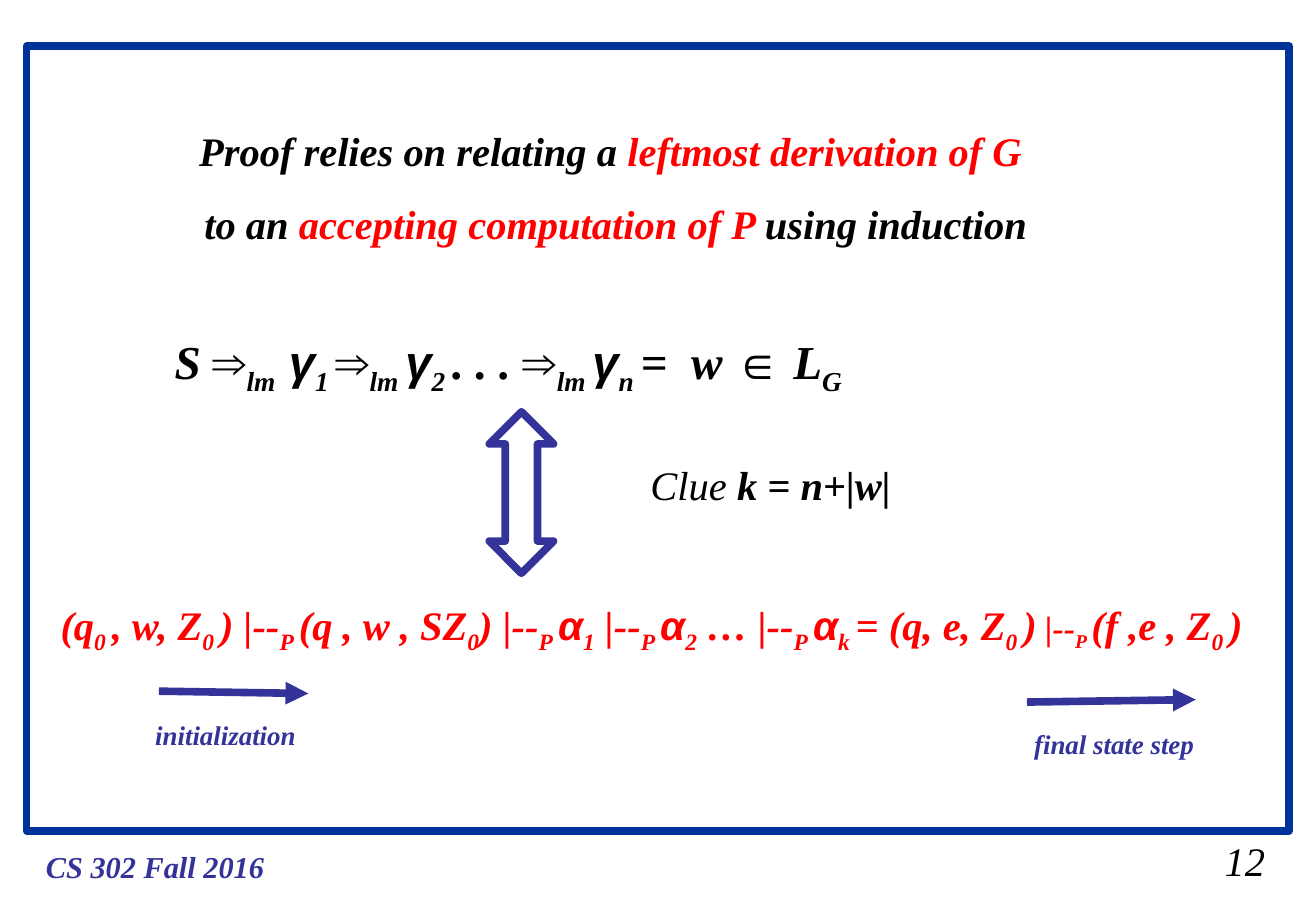
"""Build a slide relating a leftmost derivation to an accepting computation."""
import pptx
import pptx.dml.color
import pptx.enum.shapes
import pptx.enum.text
import pptx.oxml.ns
import pptx.util
from lxml import etree

WIDTH = pptx.util.Inches(10.84)
HEIGHT = pptx.util.Inches(7.5)
FRAME_BLUE = pptx.dml.color.RGBColor(0x00, 0x33, 0x99)
INDIGO = pptx.dml.color.RGBColor(0x33, 0x33, 0x99)
RED = pptx.dml.color.RGBColor(0xFF, 0x00, 0x00)
BLACK = pptx.dml.color.RGBColor(0x00, 0x00, 0x00)
LINE_WIDTH = pptx.util.Pt(4.5)

PLAIN = {}
IN_RED = {"color": RED}
SYMBOL = {"font": "Arial"}
SUB = {"baseline": -25000}
SMALL = {"size": 20}
SMALL_SUB = SMALL | SUB
LIGHT = {"bold": False}

ARROW = [("⇒", SYMBOL)]
SUB_GAP = [(" ", SUB | {"spacing": 400})]
GAP = [(" ", {"spacing": 700})]
STEP_SUB = [("P ", SUB)]

DERIVATION = [
    ("S ", PLAIN), *ARROW, ("lm", SUB), *SUB_GAP, ("γ", SYMBOL), ("1 ", SUB),
    *ARROW, ("lm ", SUB), ("γ", SYMBOL), ("2 ", SUB), (". . . ", PLAIN),
    *ARROW, ("lm ", SUB), ("γ", SYMBOL), ("n ", SUB), ("=", PLAIN), *GAP,
    ("w ", PLAIN), ("∈", SYMBOL), (" L", PLAIN), ("G", SUB),
]
COMPUTATION = [
    ("(q", PLAIN), ("0 ", SUB), (", w, Z", PLAIN), ("0 ", SUB),
    (") |--", PLAIN), *STEP_SUB, ("(q , w , SZ", PLAIN), ("0", SUB),
    (") |--", PLAIN), *STEP_SUB, ("α", SYMBOL), ("1", SUB),
    (" |--", PLAIN), *STEP_SUB, ("α", SYMBOL), ("2", SUB),
    (" … |--", PLAIN), *STEP_SUB, ("α", SYMBOL), ("k ", SUB),
    ("= (q, e, Z", PLAIN), ("0 ", SUB), (")", PLAIN), (" |--", SMALL),
    ("P ", SMALL_SUB), ("(f ,e , Z", PLAIN), ("0 ", SUB), (")", PLAIN),
]


def across(percent):
    """Return a share of the slide width."""
    return round(WIDTH * percent / 100)


def down(percent):
    """Return a share of the slide height."""
    return round(HEIGHT * percent / 100)


def place(left, top, width, height):
    """Turn four shares of the slide into lengths."""
    return across(left), down(top), across(width), down(height)


def add_run(paragraph, text, size, color, style):
    """Add one run in bold italics, changed by its style."""
    run = paragraph.add_run()
    run.text = text
    run.font.name = style.get("font", "Times New Roman")
    run.font.size = pptx.util.Pt(style.get("size", size))
    run.font.bold = style.get("bold", True)
    run.font.italic = True
    run.font.color.rgb = style.get("color", color)
    properties = run._r.get_or_add_rPr()
    for key, attribute in (("baseline", "baseline"), ("spacing", "spc")):
        if key in style:
            properties.set(attribute, str(style[key]))


def add_text(slide, area, lines, size, color=BLACK, wrap=True, centred=False):
    """Add a text box whose lines are lists of styled runs."""
    frame = slide.shapes.add_textbox(*place(*area)).text_frame
    frame.word_wrap = wrap
    frame.auto_size = pptx.enum.text.MSO_AUTO_SIZE.SHAPE_TO_FIT_TEXT
    for index, line in enumerate(lines):
        paragraph = frame.add_paragraph() if index else frame.paragraphs[0]
        if centred:
            paragraph.alignment = pptx.enum.text.PP_ALIGN.CENTER
            paragraph.line_spacing = 1.5
        for text, style in line:
            add_run(paragraph, text, size, color, style)


def add_outline(slide, kind, area, color):
    """Add an unfilled preset shape with a thick line."""
    shape = slide.shapes.add_shape(kind, *place(*area))
    shape.shadow.inherit = False
    shape.fill.background()
    shape.line.color.rgb = color
    shape.line.width = LINE_WIDTH
    return shape


def add_step_arrow(slide, start, end):
    """Add a straight arrow between two points."""
    connector = slide.shapes.add_connector(
        pptx.enum.shapes.MSO_CONNECTOR.STRAIGHT,
        across(start[0]), down(start[1]), across(end[0]), down(end[1]))
    connector.line.color.rgb = INDIGO
    connector.line.width = LINE_WIDTH
    name = pptx.oxml.ns.qn
    etree.SubElement(connector.line._get_or_add_ln(), name("a:tailEnd"), type="triangle")
    etree.SubElement(connector._element.spPr, name("a:effectLst"))


def main():
    """Build and save the slide."""
    presentation = pptx.Presentation()
    presentation.slide_width = WIDTH
    presentation.slide_height = HEIGHT
    slide = presentation.slides.add_slide(presentation.slide_layouts[6])
    kinds = pptx.enum.shapes.MSO_SHAPE

    add_outline(slide, kinds.RECTANGLE, (2.03, 5.07, 95.94, 86.13), FRAME_BLUE)
    add_text(slide, (2.58, 92.4, 18.45, 5.33),
             [[("CS 302 Fall 2016", PLAIN)]], 18, INDIGO, wrap=False)
    add_text(slide, (14.21, 10.53, 65.13, 17.33), [
        [("Proof relies on relating a ", PLAIN),
         ("leftmost derivation of G ", IN_RED)],
        [("to an ", PLAIN), ("accepting computation of P ", IN_RED),
         ("using induction", PLAIN)],
    ], 24, centred=True)
    add_text(slide, (12.36, 35.87, 53.69, 8.4), [DERIVATION], 28)
    add_text(slide, (3.69, 65.2, 92.8, 7.47), [COMPUTATION], 24, RED)

    equivalence = add_outline(
        slide, kinds.UP_DOWN_ARROW, (37.18, 45.2, 4.89, 17.73), INDIGO)
    equivalence.adjustments[0] = 0.5
    equivalence.adjustments[1] = 0.5
    add_text(slide, (48.52, 49.87, 20.11, 6.67),
             [[("Clue ", LIGHT), ("k = n+|w|", PLAIN)]], 24)

    steps = [
        ("initialization", (12.08, 75.87), (23.43, 76.13),
         (10.89, 78.27, 12.55, 4.93)),
        ("final state step", (78.04, 77.07), (90.87, 76.8),
         (77.68, 79.2, 14.02, 4.93)),
    ]
    for label, start, end, area in steps:
        add_step_arrow(slide, start, end)
        add_text(slide, area, [[(label, PLAIN)]], 16, INDIGO)

    add_text(slide, (92.16, 91.07, 4.89, 6.67), [[("12", LIGHT)]], 24)
    presentation.save("out.pptx")


if __name__ == "__main__":
    main()
